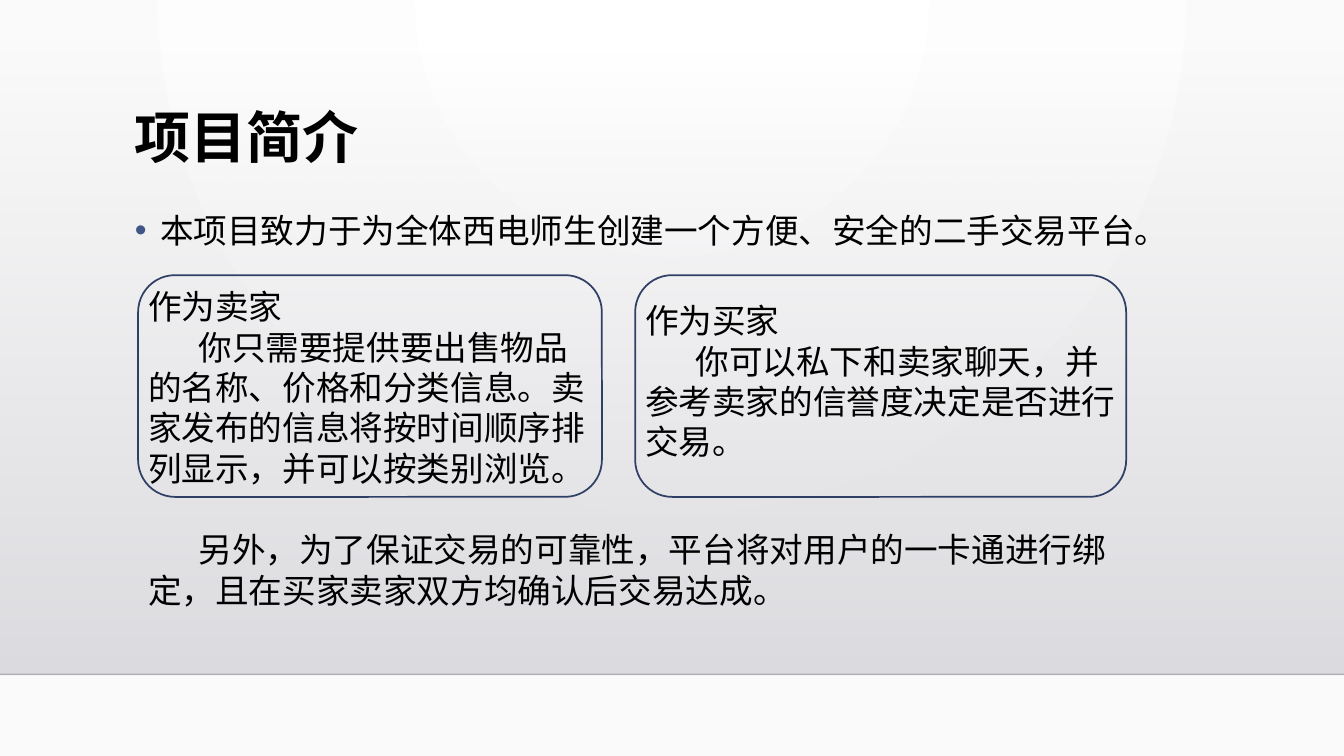
from dataclasses import dataclass
from pptx import Presentation
from pptx.dml.color import RGBColor as Rgb
from pptx.enum.shapes import MSO_CONNECTOR as Link, MSO_SHAPE as Form
from pptx.oxml.ns import qn
from pptx.util import Inches, Pt
from lxml.etree import SubElement as Sub


@dataclass(frozen=True)
class Theme:
    font: str = "Noto Sans CJK SC"
    title: int = 40
    body: int = 24
    ink: str = "000000"
    frame: str = "303F65"
    bullet: str = "415588"
    glow: tuple = ("FFFFFF", "FAFAFA")
    shade: tuple = ("DCDCE0", "DEDEE2")
    rule: str = "000001"


THEME = Theme()
LEFT, TOP, HIGH = 1.37, 2.73, 2.2
CARDS = [
    (LEFT, 4.6, 2.79, "作为卖家",
     "你只需要提供要出售物品的名称、价格和分类信息。卖家发布的信息将按时间顺序排列显示，并可以按类别浏览。"),
    (6.3, 4.87, 2.93, "作为买家",
     "你可以私下和卖家聊天，并参考卖家的信誉度决定是否进行交易。"),
]


def box(*sizes):
    return [Inches(size) for size in sizes]


def blend(fill, tones):
    fill.gradient()
    for stop, tone in zip(fill.gradient_stops, tones):
        stop.color.rgb = Rgb.from_string(tone)


def fade(node, share):
    tone = node.xpath(".//a:srgbClr")[0]
    Sub(tone, qn("a:alpha"), val=str(share * 1000))


def back(slide):
    ground = slide.background
    blend(ground.fill, THEME.glow)
    lin = ground._cSld.xpath(".//a:gradFill/a:lin")[0]
    grad = lin.getparent()
    grad.remove(lin)
    route = Sub(grad, qn("a:path"), path="circle")
    Sub(route, qn("a:fillToRect"), l="43000", t="0", r="43000", b="100000")


def floor(slide):
    wall = slide.shapes.add_shape(Form.RECTANGLE, *box(0, 0.51, 13.33, 6.18))
    wall.shadow.inherit = False
    wall.line.fill.background()
    blend(wall.fill, THEME.shade)
    wall.fill.gradient_angle = 270
    fade(wall._element.spPr, 0)
    edge = slide.shapes.add_connector(Link.STRAIGHT, *box(0, 6.69, 13.33, 6.69))
    edge.line.color.rgb = Rgb.from_string(THEME.rule)
    edge.line.width = Pt(1)
    props = edge._element.spPr
    fade(props, 20)
    Sub(props, qn("a:effectLst"))


def style(para, size, bold=False):
    for run in para.runs:
        font = run.font
        font.name, font.size, font.bold = THEME.font, Pt(size), bold
        font.color.rgb = Rgb.from_string(THEME.ink)
        Sub(run._r.get_or_add_rPr(), qn("a:ea"), typeface=THEME.font)


def write(slide, place, lines, size=THEME.body, bold=False):
    frame = slide.shapes.add_textbox(*box(*place)).text_frame
    frame.word_wrap = True
    frame.text = "\n".join(lines)
    for para in frame.paragraphs:
        style(para, size, bold)
    return frame.paragraphs


def indent(para, first, left=0):
    props = para._p.get_or_add_pPr()
    props.set("marL", str(Inches(left)))
    props.set("indent", str(Inches(first)))
    return props


def dot(para):
    props = indent(para, -0.25, 0.25)
    Sub(Sub(props, qn("a:buClr")), qn("a:srgbClr"), val=THEME.bullet)
    Sub(props, qn("a:buFont"), typeface="Arial")
    Sub(props, qn("a:buChar"), char="•")


def card(slide, left, width, top, head, text):
    paras = write(slide, (left, top, width, 2.12), [head, text])
    indent(paras[1], 0.5)
    frame = slide.shapes.add_shape(Form.ROUNDED_RECTANGLE, *box(left, TOP, width, HIGH))
    frame.shadow.inherit = False
    frame.fill.background()
    frame.line.color.rgb = Rgb.from_string(THEME.frame)
    frame.line.width = Pt(1.25)


def main():
    deck = Presentation()
    deck.slide_width, deck.slide_height = box(13.33, 7.5)
    slide = deck.slides.add_slide(deck.slide_layouts[6])
    back(slide)
    floor(slide)
    title = write(slide, (1.24, 1.04, 10.5, 1.15), ["项目简介"], THEME.title, True)
    title[0].line_spacing = 0.9
    lead = write(slide, (1.24, 1.95, 10.5, 0.74),
                 ["本项目致力于为全体西电师生创建一个方便、安全的二手交易平台。"])
    dot(lead[0])
    lead[0].line_spacing = 1.2
    note = write(slide, (LEFT, 5.2, 9.86, 0.91),
                 ["另外，为了保证交易的可靠性，平台将对用户的一卡通进行绑定，且在买家卖家双方均确认后交易达成。"])
    indent(note[0], 0.5)
    for item in CARDS:
        card(slide, *item)
    deck.save("out.pptx")


if __name__ == "__main__":
    main()
